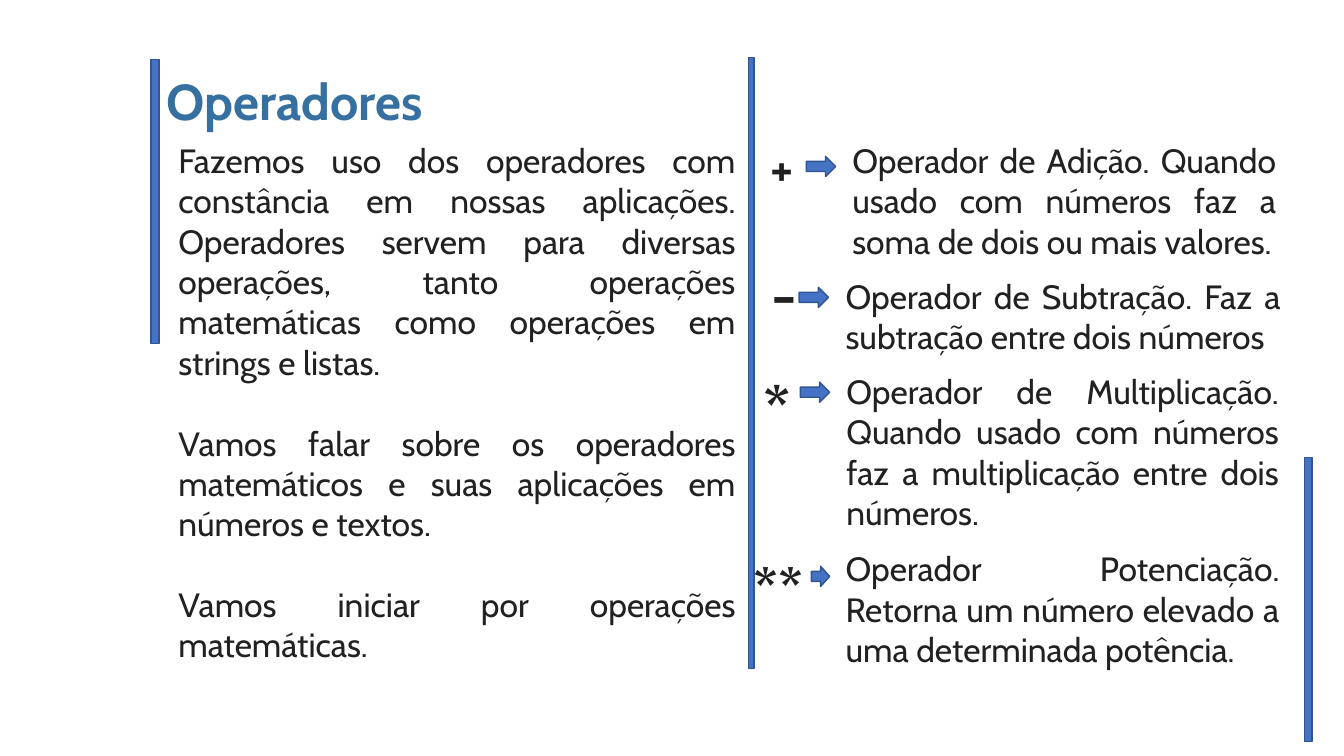
from dataclasses import dataclass

from lxml.etree import SubElement
from pptx import Presentation
from pptx.dml.color import RGBColor
from pptx.enum.shapes import MSO_SHAPE as Preset
from pptx.enum.text import MSO_ANCHOR as Anchor
from pptx.enum.text import MSO_AUTO_SIZE as AutoSize
from pptx.enum.text import PP_ALIGN as Align
from pptx.oxml.ns import qn
from pptx.shapes.autoshape import Shape
from pptx.slide import Slide
from pptx.text.text import TextFrame
from pptx.util import Cm, Pt

FONT = "Cabin"
COLORS = {"title": "3570A0", "text": "212121", "fill": "4472C4", "line": "325491"}
TEXT_SIZE = 24
BLANK_LINE = 29
SYMBOL_HEIGHT = 2.13
ARROW_HEIGHT = 0.51


@dataclass(frozen=True)
class Box:
    left: float
    top: float
    width: float
    height: float


@dataclass(frozen=True)
class Operator:
    symbol: str
    size: int
    symbol_left: float
    symbol_top: float
    arrow_left: float
    arrow_top: float
    arrow_width: float
    description: str
    area: Box


TITLE_BOX = Box(3.91, 1.45, 7.04, 2.36)
BODY_BOX = Box(4.24, 3.4, 14.55, 13.59)
BARS = [
    Box(3.81, 1.5, 0.2, 7.16),
    Box(18.87, 1.45, 0.13, 15.39),
    Box(32.87, 11.53, 0.2, 7.16),
]
INTRODUCTION = [
    "Fazemos uso dos operadores com constância em nossas aplicações. "
    "Operadores servem para diversas operações, tanto operações "
    "matemáticas como operações em strings e listas.",
    "Vamos falar sobre os operadores matemáticos e suas aplicações em "
    "números e textos.",
    "Vamos iniciar por operações matemáticas.",
]
OPERATORS = [
    Operator("+", 36, 19.18, 3.3, 20.32, 3.94, 0.74,
             "Operador de Adição. Quando usado com números faz a soma de "
             "dois ou mais valores.", Box(21.23, 3.4, 11.18, 4.11)),
    Operator("-", 44, 19.2, 6.32, 20.14, 7.24, 0.74,
             "Operador de Subtração. Faz a subtração entre dois números",
             Box(21.06, 6.83, 11.46, 2.31)),
    Operator("*", 44, 19.0, 9.19, 20.17, 9.63, 0.74,
             "Operador de Multiplicação. Quando usado com números faz a "
             "multiplicação entre dois números.", Box(21.08, 9.22, 11.4, 5.38)),
    Operator("**", 40, 18.75, 13.82, 20.45, 14.27, 0.46,
             "Operador Potenciação. Retorna um número elevado a uma "
             "determinada potência.", Box(21.06, 13.69, 11.43, 3.33)),
]


def color(name: str) -> RGBColor:
    return RGBColor.from_string(COLORS[name])


def place(shape: Shape, box: Box) -> None:
    shape.left, shape.top = Cm(box.left), Cm(box.top)
    shape.width, shape.height = Cm(box.width), Cm(box.height)


def write(frame: TextFrame, texts: list[str], size: int = TEXT_SIZE,
          bold: bool = False, color_name: str = "text",
          alignment: Align = Align.JUSTIFY, anchor: Anchor = Anchor.TOP) -> None:
    frame.word_wrap = True
    frame.auto_size = AutoSize.NONE
    frame.vertical_anchor = anchor
    for index, text in enumerate(texts):
        paragraph = frame.add_paragraph() if index else frame.paragraphs[0]
        paragraph.alignment = alignment
        paragraph.space_before = Pt(BLANK_LINE if index else 0)
        run = paragraph.add_run()
        run.text = text
        run.font.name = FONT
        run.font.size = Pt(size)
        run.font.bold = bold
        run.font.color.rgb = color(color_name)


def remove_bullets(frame: TextFrame) -> None:
    for paragraph in frame.paragraphs:
        properties = paragraph._p.get_or_add_pPr()
        properties.set("marL", "0")
        properties.set("indent", "0")
        SubElement(properties, qn("a:buNone"))


def add_text(slide: Slide, box: Box, text: str, size: int = TEXT_SIZE,
             bold: bool = False) -> None:
    shape = slide.shapes.add_textbox(
        Cm(box.left), Cm(box.top), Cm(box.width), Cm(box.height))
    write(shape.text_frame, [text], size, bold)


def add_preset(slide: Slide, preset: Preset, box: Box) -> None:
    shape = slide.shapes.add_shape(
        preset, Cm(box.left), Cm(box.top), Cm(box.width), Cm(box.height))
    shape.shadow.inherit = False
    shape.fill.solid()
    shape.fill.fore_color.rgb = color("fill")
    shape.line.color.rgb = color("line")
    shape.line.width = Pt(1)


def add_operator(slide: Slide, operator: Operator) -> None:
    symbol_box = Box(operator.symbol_left, operator.symbol_top,
                     1.1 + 0.45 * len(operator.symbol), SYMBOL_HEIGHT)
    add_text(slide, symbol_box, operator.symbol, operator.size, bold=True)
    add_preset(slide, Preset.RIGHT_ARROW,
               Box(operator.arrow_left, operator.arrow_top,
                   operator.arrow_width, ARROW_HEIGHT))
    add_text(slide, operator.area, operator.description)


def main() -> None:
    presentation = Presentation()
    presentation.slide_width = Cm(33.87)
    presentation.slide_height = Cm(19.05)
    slide = presentation.slides.add_slide(presentation.slide_layouts[1])

    title, body = slide.shapes.title, slide.placeholders[1]
    place(title, TITLE_BOX)
    write(title.text_frame, ["Operadores"], 36, True, "title",
          Align.CENTER, Anchor.MIDDLE)
    title.text_frame.paragraphs[0].line_spacing = 0.9
    place(body, BODY_BOX)
    write(body.text_frame, INTRODUCTION)
    remove_bullets(body.text_frame)

    for bar in BARS:
        add_preset(slide, Preset.RECTANGLE, bar)
    for operator in OPERATORS:
        add_operator(slide, operator)
    presentation.save("out.pptx")


if __name__ == "__main__":
    main()
